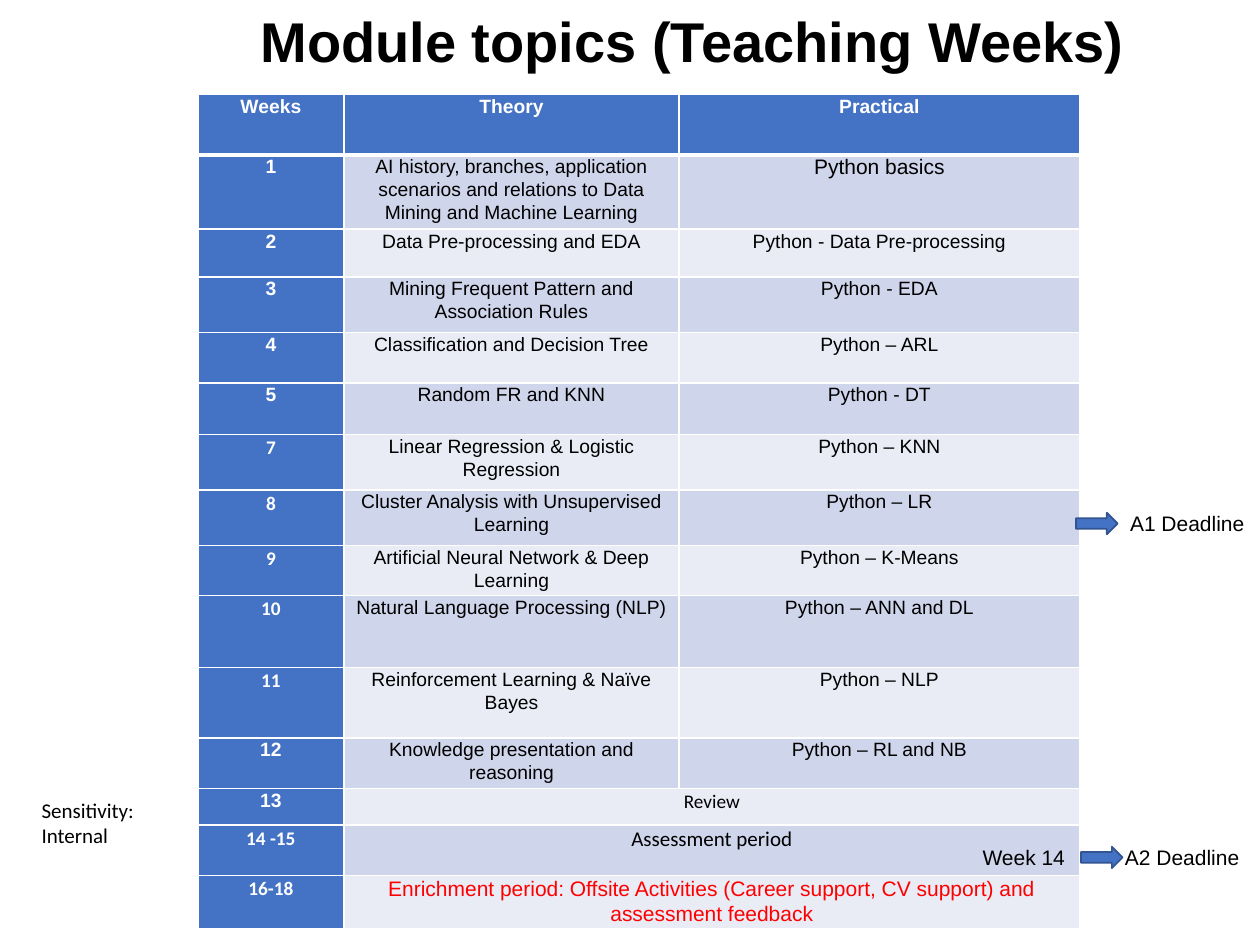
from lxml import etree
from pptx import Presentation
from pptx.dml.color import RGBColor
from pptx.enum import shapes, text
from pptx.oxml import ns
from pptx.util import Inches, Pt

HUES = {"blue": "4472C4", "edge": "325491", "odd": "CFD5EA", "even": "E9EBF5",
        "white": "FFFFFF", "black": "000000", "red": "FF0000"}
HEAD = ("Weeks", "Theory", "Practical")
# week, theory, practical (None: theory spans both columns), row height
ROWS = [
    ("1", "AI history, branches, application scenarios and relations to "
     "Data Mining and Machine Learning", "Python basics", 0.58),
    ("2", "Data Pre-processing and EDA", "Python - Data Pre-processing", 0.38),
    ("3", "Mining Frequent Pattern and Association Rules", "Python - EDA", 0.44),
    ("4", "Classification and Decision Tree", "Python – ARL", 0.4),
    ("5", "Random FR and KNN", "Python - DT", 0.41),
    ("7", "Linear Regression & Logistic Regression", "Python – KNN", 0.44),
    ("8", "Cluster Analysis with Unsupervised Learning", "Python – LR", 0.44),
    ("9", "Artificial Neural Network & Deep Learning", "Python – K-Means", 0.4),
    ("10", "Natural Language Processing (NLP)", "Python – ANN and DL", 0.57),
    ("11", "Reinforcement Learning & Naïve Bayes", "Python – NLP", 0.56),
    ("12", "Knowledge presentation and reasoning", "Python – RL and NB", 0.4),
    ("13", "Review", None, 0.29),
    ("14 -15", "Assessment period", None, 0.4),
    ("16-18", "Enrichment period: Offsite Activities (Career support, "
     "CV support) and assessment feedback", None, 0.4),
]
COLS = (1.16, 2.66, 3.18)
TOP = 0.48
CALIBRI = {"7", "8", "9", "10", "11", "14 -15", "16-18",
           "Review", "Assessment period"}
LARGE = {"Python basics", "Assessment period", ROWS[-1][1]}
ARROWS = [(8.54, 4.07), (8.58, 6.72)]
NOTES = [("A1 Deadline", 8.87, 4, 1.11), ("A2 Deadline", 8.83, 6.65, 1.11),
         ("Week 14", 7.7, 6.65, 0.86)]


def rgb(hue):
    return RGBColor.from_string(HUES[hue])


def style(para, size, face="Arial", hue="black", bold=False):
    font = para.font
    font.size, font.name, font.bold = Pt(size), face, bold
    font.color.rgb = rgb(hue)


def label(slide, words, box, size, face="Arial", bold=False, wrap=True):
    frame = slide.shapes.add_textbox(*map(Inches, box)).text_frame
    frame.word_wrap = wrap
    frame.text = words
    style(frame.paragraphs[0], size, face, bold=bold)
    return frame


def edges(cell, row):
    """Draw white cell borders, thick between the header and the body."""
    for side in "LRTB":
        thick = (row, side) in ((0, "B"), (1, "T"))
        props = cell._tc.get_or_add_tcPr()
        line = etree.SubElement(props, ns.qn("a:ln" + side), w=str(Pt(3 if thick else 1)))
        fill = etree.SubElement(line, ns.qn("a:solidFill"))
        etree.SubElement(fill, ns.qn("a:srgbClr"), val=HUES["white"])


def fill_cell(cell, words, row, col):
    edges(cell, row)
    key = row == 0 or col == 0
    cell.fill.solid()
    cell.fill.fore_color.rgb = rgb("blue" if key else "odd" if row % 2 else "even")
    cell.margin_left = cell.margin_right = Inches(0.07)
    cell.margin_top = cell.margin_bottom = 0
    if words is None:
        return
    cell.text = words
    para = cell.text_frame.paragraphs[0]
    para.alignment = text.PP_ALIGN.CENTER
    if words != "Python basics":
        para.line_spacing = 1.07
    hue = "white" if key else "red" if words == ROWS[-1][1] else "black"
    style(para, 12 if words in LARGE else 11,
          "Calibri" if words in CALIBRI else "Arial", hue, key)


def add_plan(slide):
    highs = [TOP] + [row[-1] for row in ROWS]
    box = (1.57, 0.75, sum(COLS), sum(highs))
    grid = slide.shapes.add_table(len(highs), len(COLS), *map(Inches, box)).table
    for col, wide in zip(grid.columns, COLS):
        col.width = Inches(wide)
    for r, words in enumerate([HEAD] + [row[:3] for row in ROWS]):
        grid.rows[r].height = Inches(highs[r])
        for c, word in enumerate(words):
            fill_cell(grid.cell(r, c), word, r, c)
        if words[2] is None:
            grid.cell(r, 1).merge(grid.cell(r, 2))


def main():
    deck = Presentation()
    deck.slide_width, deck.slide_height = Inches(10), Inches(7.5)
    slide = deck.slides.add_slide(deck.slide_layouts[6])

    mark = label(slide, "Sensitivity: Internal", (0.07, 6.33, 1.25, 0.4), 12, "Calibri")
    mark.margin_left = Inches(0.26)
    mark.margin_top = mark.margin_right = mark.margin_bottom = 0
    title = label(slide, "Module topics (Teaching Weeks)",
                  (1.97, 0.03, 7.33, 0.65), 32, bold=True)
    title.paragraphs[0].line_spacing = 0.9
    for frame in (mark, title):
        frame.vertical_anchor = text.MSO_ANCHOR.MIDDLE

    add_plan(slide)
    for left, top in ARROWS:
        arrow = slide.shapes.add_shape(shapes.MSO_SHAPE.RIGHT_ARROW,
                                       *map(Inches, (left, top, 0.33, 0.17)))
        arrow.shadow.inherit = False
        arrow.fill.solid()
        arrow.fill.fore_color.rgb = rgb("blue")
        arrow.line.color.rgb = rgb("edge")
        arrow.line.width = Pt(1)
    for words, left, top, wide in NOTES:
        label(slide, words, (left, top, wide, 0.3), 12, wrap=False)
    deck.save("out.pptx")


if __name__ == "__main__":
    main()
